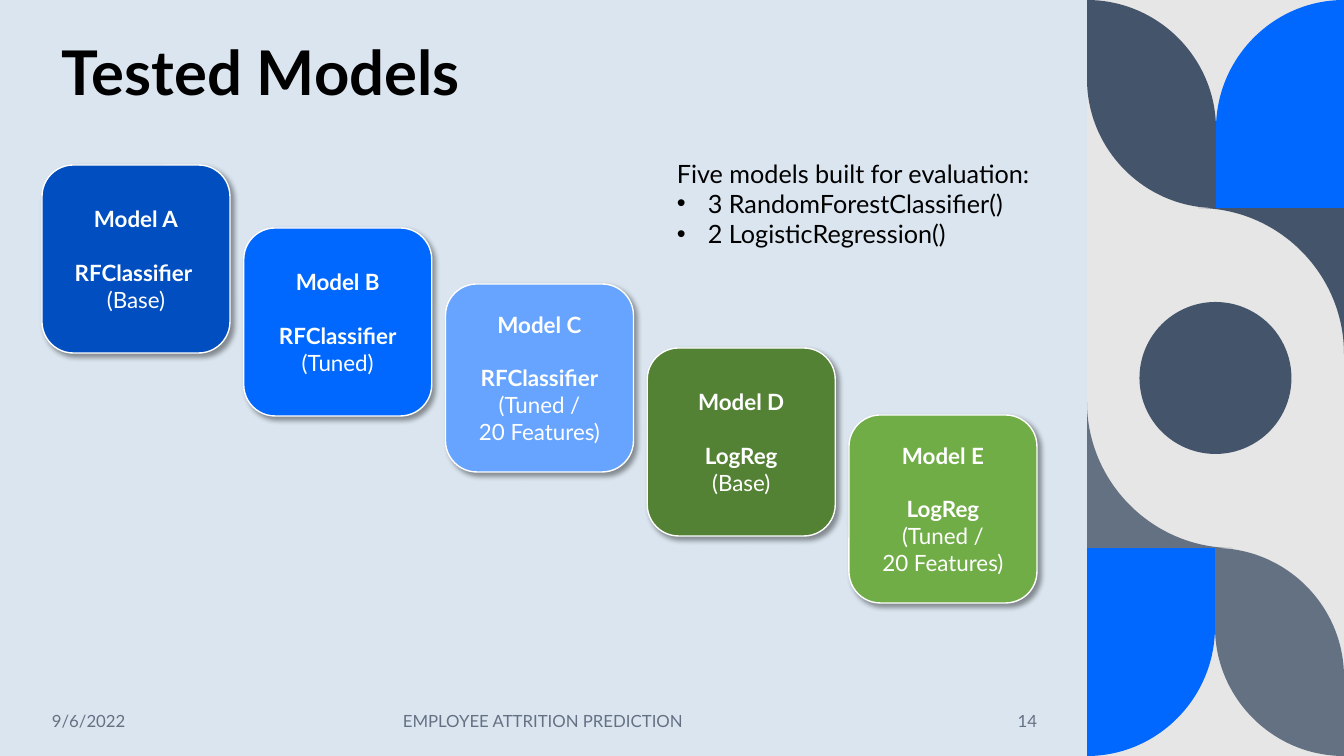
from lxml import etree
from pptx import Presentation
from pptx.dml.color import RGBColor
from pptx.enum.shapes import MSO_SHAPE
from pptx.enum.text import MSO_ANCHOR, PP_ALIGN
from pptx.oxml import parse_xml
from pptx.oxml.ns import nsdecls, qn
from pptx.util import Pt

LEFT, CENTER, RIGHT = PP_ALIGN.LEFT, PP_ALIGN.CENTER, PP_ALIGN.RIGHT
TOP, MIDDLE = MSO_ANCHOR.TOP, MSO_ANCHOR.MIDDLE
RECTANGLE, OVAL, ROUNDED = MSO_SHAPE.RECTANGLE, MSO_SHAPE.OVAL, MSO_SHAPE.ROUNDED_RECTANGLE

WIDTH, HEIGHT = 1344, 756
SCALE = 12192000 / WIDTH
FONT = "Lato"
COLORS = {
    "background": "E7E6E6", "canvas": "DAE5EF", "navy": "44546A", "slate": "637183",
    "blue": "0068FF", "dark_blue": "004EBF", "light_blue": "66A4FF",
    "dark_green": "548235", "green": "70AD47", "white": "FFFFFF", "black": "000000",
}

TITLE = "Tested Models"
MODELS = [
    ("Model A", "RFClassifier ", "(Base)", "dark_blue", 165),
    ("Model B", "RFClassifier", "(Tuned)", "blue", 228),
    ("Model C", "RFClassifier", "(Tuned /\v20 Features)", "light_blue", 284),
    ("Model D", "LogReg", "(Base)", "dark_green", 348),
    ("Model E", "LogReg", "(Tuned /\v20 Features)", "green", 415),
]
SUMMARY = "Five models built for evaluation:"
SUMMARY_BULLETS = ["3 RandomForestClassifier()", "2 LogisticRegression()"]
FOOTERS = [
    ("9/6/2022", 42, 173, LEFT),
    ("EMPLOYEE ATTRITION PREDICTION", 316, 454, CENTER),
    ("14", 918, 129, RIGHT),
]
FOOTER_TOP, FOOTER_HEIGHT = 701, 40
FIRST_CARD, LAST_CARD, CARD_SIZE = 42, 849, 188
PANEL_LEFT, PANEL_MIDDLE, PETAL_HEIGHT = 1087, 1216, 208
PETAL_RADIUS, SWEEP_RADIUS = PANEL_MIDDLE - PANEL_LEFT, 146
CIRCLE_SIZE = 152
BULLET_INDENT = 31
CURVE_PULL = 0.55

LEAF = [
    [(PANEL_LEFT, 0)],
    [(PANEL_LEFT, PETAL_HEIGHT - PETAL_RADIUS)],
    [(PANEL_LEFT, PETAL_HEIGHT), (PANEL_MIDDLE, PETAL_HEIGHT)],
    [(PANEL_MIDDLE, PETAL_RADIUS)],
    [(PANEL_MIDDLE, 0), (PANEL_LEFT, 0)],
]
SWEEP = [
    [(WIDTH, PETAL_HEIGHT)],
    [(WIDTH - SWEEP_RADIUS, PETAL_HEIGHT)],
    [(WIDTH, PETAL_HEIGHT), (WIDTH, PETAL_HEIGHT + SWEEP_RADIUS)],
]
PETAL = [
    [(WIDTH, 0)],
    [(WIDTH, PETAL_HEIGHT)],
    [(PANEL_MIDDLE, PETAL_HEIGHT)],
    [(PANEL_MIDDLE, PETAL_RADIUS)],
    [(PANEL_MIDDLE, 0), (WIDTH, 0)],
]


def px(value):
    return round(value * SCALE)


def color(name):
    return RGBColor.from_string(COLORS[name])


def paint(shape, fill):
    shape.shadow.inherit = False
    shape.fill.solid()
    shape.fill.fore_color.rgb = color(fill)
    shape.line.fill.background()
    return shape


def add_shape(slide, kind, left, top, width, height, fill):
    box = [px(value) for value in (left, top, width, height)]
    return paint(slide.shapes.add_shape(kind, *box), fill)


def pull(point, corner):
    return tuple(a + (b - a) * CURVE_PULL for a, b in zip(point, corner))


def add_outline(slide, segments, fill):
    ends = [segment[-1] for segment in segments]
    points = [(px(x), px(y)) for x, y in ends]
    builder = slide.shapes.build_freeform(*points[0])
    builder.add_line_segments(points[1:], close=True)
    shape = paint(builder.convert_to_shape(), fill)
    steps = list(next(shape.element.iter(qn("a:path"))))
    for index, segment in enumerate(segments):
        if len(segment) == 2:
            corner, end = segment
            curve = etree.Element(qn("a:cubicBezTo"))
            for x, y in (pull(ends[index - 1], corner), pull(end, corner), end):
                point = etree.SubElement(curve, qn("a:pt"))
                point.set("x", str(px(x) - shape.left))
                point.set("y", str(px(y) - shape.top))
            steps[index].getparent().replace(steps[index], curve)


def add_textbox(slide, left, top, width, height, anchor):
    frame = slide.shapes.add_textbox(*map(px, (left, top, width, height))).text_frame
    frame.word_wrap = True
    frame.vertical_anchor = anchor
    return frame


def write_lines(frame, lines, alignment, size, fill):
    for index, (text, bold) in enumerate(lines):
        paragraph = frame.paragraphs[0] if index == 0 else frame.add_paragraph()
        paragraph.text = text
        paragraph.alignment = alignment
        for run in paragraph.runs:
            for name, value in {"name": FONT, "size": Pt(size), "bold": bold}.items():
                setattr(run.font, name, value)
            run.font.color.rgb = color(fill)


def turn(segments):
    return [[(PANEL_LEFT + WIDTH - x, HEIGHT - y) for x, y in segment] for segment in segments]


def add_panel(slide):
    for outline, fill in [(LEAF, "navy"), (SWEEP, "navy"), (PETAL, "blue")]:
        add_outline(slide, outline, fill)
    circle_left = (PANEL_LEFT + WIDTH - CIRCLE_SIZE) / 2
    circle_top = (HEIGHT - CIRCLE_SIZE) / 2
    add_shape(slide, OVAL, circle_left, circle_top, CIRCLE_SIZE, CIRCLE_SIZE, "navy")
    for outline, fill in [(LEAF, "slate"), (SWEEP, "slate"), (PETAL, "blue")]:
        add_outline(slide, turn(outline), fill)


def add_title(slide):
    title = slide.shapes.title
    title.element.getparent().append(title.element)
    box = {"left": 62, "top": 37, "width": 965, "height": 146}
    for name, value in box.items():
        setattr(title, name, px(value))
    frame = title.text_frame
    frame.margin_left = 0
    frame.vertical_anchor = TOP
    write_lines(frame, [(TITLE, True)], LEFT, 44, "black")
    frame.paragraphs[0].line_spacing = 0.9


def add_card_shadow(card):
    effects = card.element.spPr.find(qn("a:effectLst"))
    effects.append(parse_xml(
        f'<a:outerShdw {nsdecls("a")} blurRad="{Pt(4)}" dist="{Pt(3)}" dir="2700000" '
        f'algn="tl" rotWithShape="0"><a:srgbClr val="{COLORS["black"]}">'
        '<a:alpha val="40000"/></a:srgbClr></a:outerShdw>'))


def add_cards(slide):
    pitch = (LAST_CARD - FIRST_CARD) / (len(MODELS) - 1)
    for index, (model, method, detail, fill, top) in enumerate(MODELS):
        left = FIRST_CARD + index * pitch
        card = add_shape(slide, ROUNDED, left, top, CARD_SIZE, CARD_SIZE, fill)
        card.line.color.rgb = color("white")
        card.line.width = Pt(1)
        add_card_shadow(card)
        frame = card.text_frame
        frame.word_wrap = True
        frame.vertical_anchor = MIDDLE
        lines = [(model, True), (method, True), (detail, False)]
        write_lines(frame, lines, CENTER, 16, "white")
        frame.paragraphs[1].space_before = Pt(19.2)


def add_summary(slide):
    frame = add_textbox(slide, 667, 153, 399, 102, TOP)
    lines = [(text, False) for text in [SUMMARY, *SUMMARY_BULLETS]]
    write_lines(frame, lines, LEFT, 18, "black")
    for paragraph in frame.paragraphs[1:]:
        properties = paragraph._p.get_or_add_pPr()
        properties.set("marL", str(px(BULLET_INDENT)))
        properties.set("indent", str(-px(BULLET_INDENT)))
        etree.SubElement(properties, qn("a:buFont")).set("typeface", "Arial")
        etree.SubElement(properties, qn("a:buChar")).set("char", "•")


def main():
    presentation = Presentation()
    presentation.slide_width, presentation.slide_height = px(WIDTH), px(HEIGHT)
    slide = presentation.slides.add_slide(presentation.slide_layouts[5])
    slide.background.fill.solid()
    slide.background.fill.fore_color.rgb = color("background")
    add_shape(slide, RECTANGLE, 0, 0, PANEL_LEFT, HEIGHT, "canvas")
    add_panel(slide)
    add_title(slide)
    for text, left, width, alignment in FOOTERS:
        frame = add_textbox(slide, left, FOOTER_TOP, width, FOOTER_HEIGHT, MIDDLE)
        write_lines(frame, [(text, False)], alignment, 12, "slate")
    add_cards(slide)
    add_summary(slide)
    presentation.save("out.pptx")


if __name__ == "__main__":
    main()
